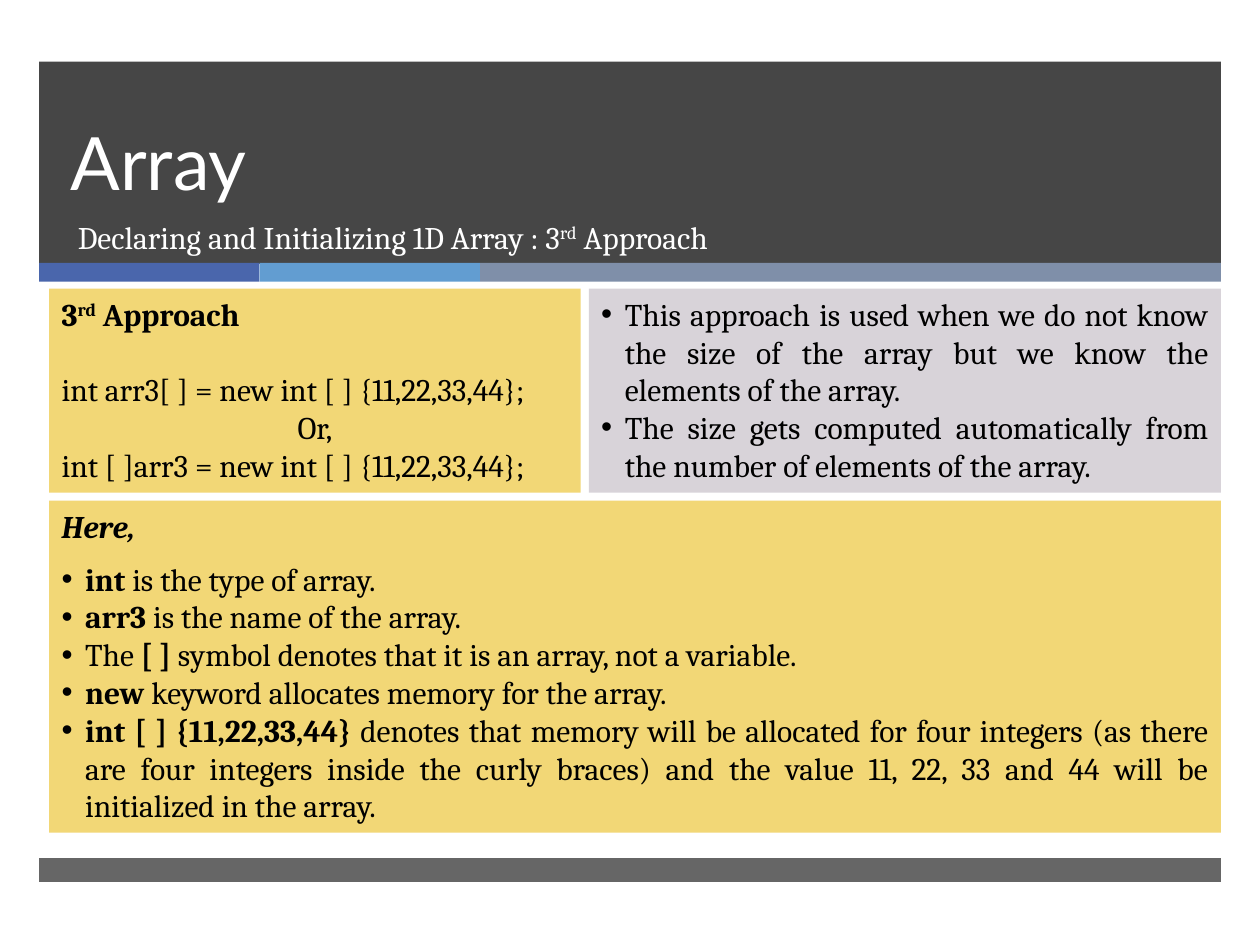
from pptx import Presentation
from pptx.dml import color
from pptx.enum import shapes, text
from pptx.oxml import ns
from pptx.util import Pt
from lxml import etree

LEFT, WIDE = 22.3, 675.4
INK, WHITE, GOLD, LILAC = "000000", "FFFFFF", "F2D776", "D8D3D9"
JUST, MID = text.PP_ALIGN.JUSTIFY, text.PP_ALIGN.CENTER


def rgb(code):
    return color.RGBColor.from_string(code)


def block(slide, box, fill, alpha=100):
    shape = slide.shapes.add_shape(shapes.MSO_SHAPE.RECTANGLE, *map(Pt, box))
    shape.shadow.inherit = False
    shape.fill.solid()
    shape.fill.fore_color.rgb = rgb(fill)
    shape.line.fill.background()
    if alpha < 100:
        tone = shape.element.spPr.find(".//" + ns.qn("a:srgbClr"))
        etree.SubElement(tone, ns.qn("a:alpha")).set("val", str(alpha * 1000))
    return shape


def write(para, runs, ink=INK, face="Cambria", size=18):
    for words, style in runs:
        run = para.add_run()
        run.text = words
        font = run.font
        font.name, font.size = face, Pt(size)
        font.color.rgb = rgb(ink)
        font.bold, font.italic = "b" in style, "i" in style
        if "^" in style:
            run._r.get_or_add_rPr().set("baseline", "30000")


def bullet(para):
    props = para._p.get_or_add_pPr()
    props.set("marL", str(Pt(13.5)))
    props.set("indent", str(Pt(-13.5)))
    etree.SubElement(props, ns.qn("a:buFont")).set("typeface", "Arial")
    etree.SubElement(props, ns.qn("a:buChar")).set("char", "•")


def panel(slide, box, fill, lines):
    frame = block(slide, box, fill).text_frame
    frame.word_wrap = True
    frame.vertical_anchor = text.MSO_ANCHOR.TOP
    for i, (kind, gap, runs) in enumerate(lines):
        para = frame.add_paragraph() if i else frame.paragraphs[0]
        para.alignment = MID if kind == "mid" else JUST
        para.space_after = Pt(gap)
        if kind == "dot":
            bullet(para)
        write(para, runs)


def header(slide, box):
    x, y, w, h = box
    block(slide, box, "262626", 85)
    left = x
    for span, fill in ((126, "4A66AC"), (126 * 1.0, "629DD1"), (w - 252, "7F8FA9")):
        block(slide, (left, y + h - 0.7, span, 10.8), fill)
        left += span

    title = slide.shapes.title
    title.element.getparent().append(title.element)
    title.left, title.top, title.width, title.height = map(
        Pt, (x + 10.8, y, 615, 85.7))
    frame = title.text_frame
    frame.auto_size = text.MSO_AUTO_SIZE.NONE
    frame.vertical_anchor = text.MSO_ANCHOR.BOTTOM
    para = frame.paragraphs[0]
    para.alignment = text.PP_ALIGN.LEFT
    para.line_spacing = Pt(46)
    write(para, [("Array", "")], WHITE, "Lato", 42)

    sub = slide.shapes.add_textbox(*map(Pt, (x + 15.1, y + 85.7, 610.6, 38.2)))
    sub.text_frame.word_wrap = True
    write(sub.text_frame.paragraphs[0], [
        ("Declaring and Initializing 1D Array : 3", ""),
        ("rd", "^"), (" Approach", "")], WHITE)


def body(slide, box):
    x, y, w, h = box
    gap, top, code = 4.6, 116.6, 303.8
    side = x + code + gap
    panel(slide, (x, y, code, top), GOLD, [
        ("", 21.6, [("3", "b"), ("rd", "b^"), (" Approach", "b")]),
        ("", 0, [("int arr3[ ] = new int [ ] {11,22,33,44};", "")]),
        ("mid", 0, [("Or,", "")]),
        ("", 0, [("int [ ]arr3 = new int [ ] {11,22,33,44};", "")])])
    panel(slide, (side, y, x + w - side, top), LILAC, [
        ("dot", 0, [("This approach is used when we do not know the size of "
                     "the array but we know the elements of the array.", "")]),
        ("dot", 0, [("The size gets computed automatically from the number "
                     "of elements of the array.", "")])])
    notes = [
        [("int", "b"), (" is the type of array.", "")],
        [("arr3", "b"), (" is the name of the array.", "")],
        [("The ", ""), ("[ ] ", "b"),
         ("symbol denotes that it is an array, not a variable.", "")],
        [("new ", "b"), ("keyword allocates memory for the array.", "")],
        [("int [ ] {11,22,33,44} ", "b"),
         ("denotes that memory will be allocated for four integers (as there "
          "are four integers inside the curly braces) and the value 11, 22, "
          "33 and 44 will be initialized in the array.", "")]]
    panel(slide, (x, y + top + gap, w, h - top - gap), GOLD,
          [("", 8.6, [("Here,", "bi")])] + [("dot", 0, runs) for runs in notes])


def main():
    deck = Presentation()
    deck.slide_width, deck.slide_height = Pt(720), Pt(540)
    slide = deck.slides.add_slide(deck.slide_layouts[5])
    header(slide, (LEFT, 35.3, WIDE, 115.6))
    body(slide, (28.1, 164.9, LEFT + WIDE - 28.1, 311))
    block(slide, (LEFT, 490.3, WIDE, 13.7), "262626", 70)
    deck.save("out.pptx")


if __name__ == "__main__":
    main()
